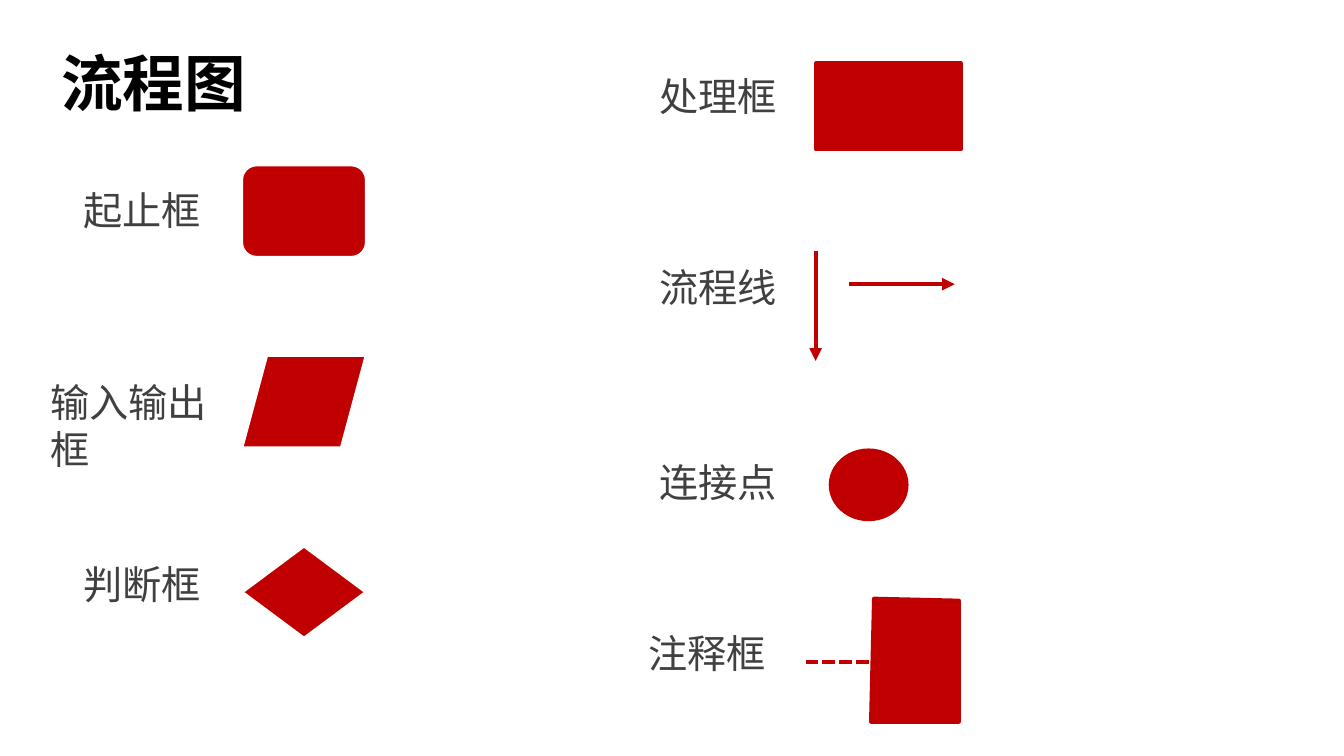
"""Build the flowchart symbols slide: each symbol beside its name."""
from lxml import etree
from pptx import Presentation
from pptx import util as u
from pptx.dml.color import RGBColor
from pptx.enum import dml, shapes, text
from pptx.oxml.ns import qn

COLORS = {"title": "000000", "label": "404040", "symbol": "C00000", "edge": "FFFFFF"}
FONT = "Noto Sans CJK SC"
SYMBOL = shapes.MSO_SHAPE
LEFT_SYMBOLS, RIGHT_SYMBOLS = 2.39, 8.09
LEFT_LABELS, RIGHT_LABELS = 0.73, 6.44
LABEL_W, LABEL_H = 1.66, 0.57
ROW_TOP, ROW_PITCH = 1.63, 1.89
LEFT_ROWS = [ROW_TOP + ROW_PITCH * row for row in range(3)]

deck = Presentation()
deck.slide_width, deck.slide_height = u.Inches(13.33), u.Inches(7.5)
slide = deck.slides.add_slide(deck.slide_layouts[6])


def add_words(words, box, size, color, bold=False):
    holder = slide.shapes.add_textbox(*map(u.Inches, box))
    frame = holder.text_frame
    frame.word_wrap = True
    frame.text = words
    font = frame.paragraphs[0].runs[0].font
    font.size, font.bold, font.name = u.Pt(size), bold, FONT
    font.color.rgb = RGBColor.from_string(COLORS[color])
    east_asian = etree.SubElement(font._element, qn("a:ea"))
    east_asian.set("typeface", FONT)
    return frame


def paint(symbol, edge="symbol"):
    symbol.shadow.inherit = False
    symbol.fill.solid()
    symbol.fill.fore_color.rgb = RGBColor.from_string(COLORS["symbol"])
    symbol.line.color.rgb = RGBColor.from_string(COLORS[edge])
    symbol.line.width = u.Pt(3)


heading = add_words("流程图", (0.51, 0.13, 11.5, 1.45), 44, "title", True)
heading.vertical_anchor = text.MSO_ANCHOR.MIDDLE
heading.paragraphs[0].line_spacing = 0.9

labels = [
    ("起止框", LEFT_LABELS, LEFT_ROWS[0] + 0.17, LABEL_W, LABEL_H),
    ("输入输出框", 0.4, LEFT_ROWS[1] + 0.18, 1.99, 1.04),
    ("判断框", LEFT_LABELS, LEFT_ROWS[2] + 0.1, LABEL_W, LABEL_H),
    ("处理框", RIGHT_LABELS, 0.67, LABEL_W, LABEL_H),
    ("流程线", RIGHT_LABELS, 0.67 + ROW_PITCH, LABEL_W, LABEL_H),
    ("连接点", RIGHT_LABELS, 4.5, LABEL_W, LABEL_H),
    ("注释框", 6.33, 6.19, LABEL_W, LABEL_H),
]
for words, *box in labels:
    add_words(words, box, 28, "label")

symbols = [
    (SYMBOL.FLOWCHART_ALTERNATE_PROCESS, "edge", LEFT_SYMBOLS, LEFT_ROWS[0], 1.25, 0.93),
    (SYMBOL.FLOWCHART_DATA, "edge", LEFT_SYMBOLS, LEFT_ROWS[1], 1.25, 0.93),
    (SYMBOL.FLOWCHART_DECISION, "edge", LEFT_SYMBOLS, LEFT_ROWS[2], 1.25, 0.93),
    (SYMBOL.FLOWCHART_PROCESS, "symbol", RIGHT_SYMBOLS, 0.63, 1.44, 0.85),
    (SYMBOL.FLOWCHART_CONNECTOR, "symbol", 8.24, 4.47, 0.75, 0.68),
]
for preset, edge, *box in symbols:
    paint(slide.shapes.add_shape(preset, *map(u.Inches, box)), edge)

flow_lines = [
    (True, RIGHT_SYMBOLS, 2.49, RIGHT_SYMBOLS, 3.58),
    (True, 8.42, 2.82, 9.47, 2.82),
    (False, 7.99, 6.57, 8.78, 6.57),
]
for has_arrow, *ends in flow_lines:
    flow = slide.shapes.add_connector(shapes.MSO_CONNECTOR.STRAIGHT, *map(u.Inches, ends))
    flow.line.color.rgb = RGBColor.from_string(COLORS["symbol"])
    flow.line.width = u.Pt(3)
    if has_arrow:
        etree.SubElement(flow.line._get_or_add_ln(), qn("a:tailEnd")).set("type", "triangle")
    else:
        flow.line.dash_style = dml.MSO_LINE.SQUARE_DOT
    etree.SubElement(flow._element.spPr, qn("a:effectLst"))

note_corners = [(9.51, 5.96), (8.67, 5.94), (8.64, 7.16), (9.51, 7.16)]
start, *others = [(u.Inches(x), u.Inches(y)) for x, y in note_corners]
note = slide.shapes.build_freeform(*start)
note.add_line_segments(others, close=True)
paint(note.convert_to_shape())

deck.save("out.pptx")
